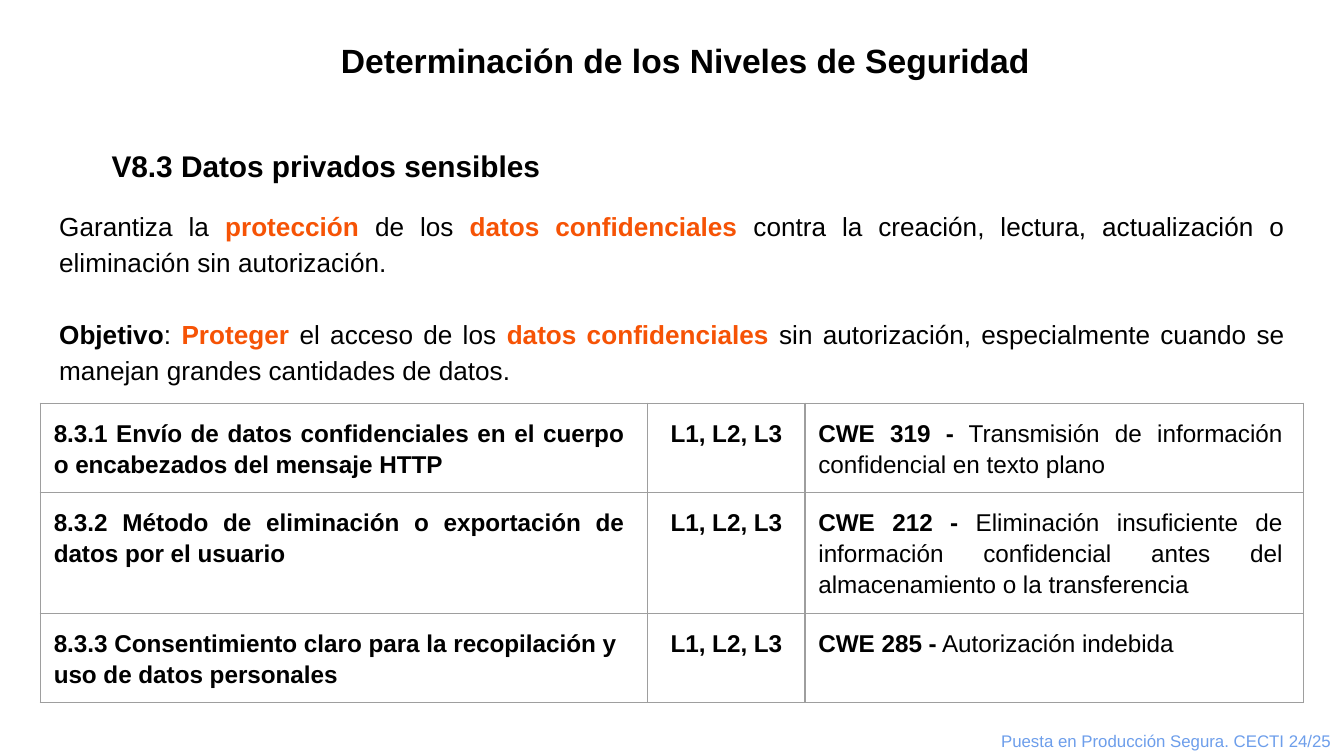
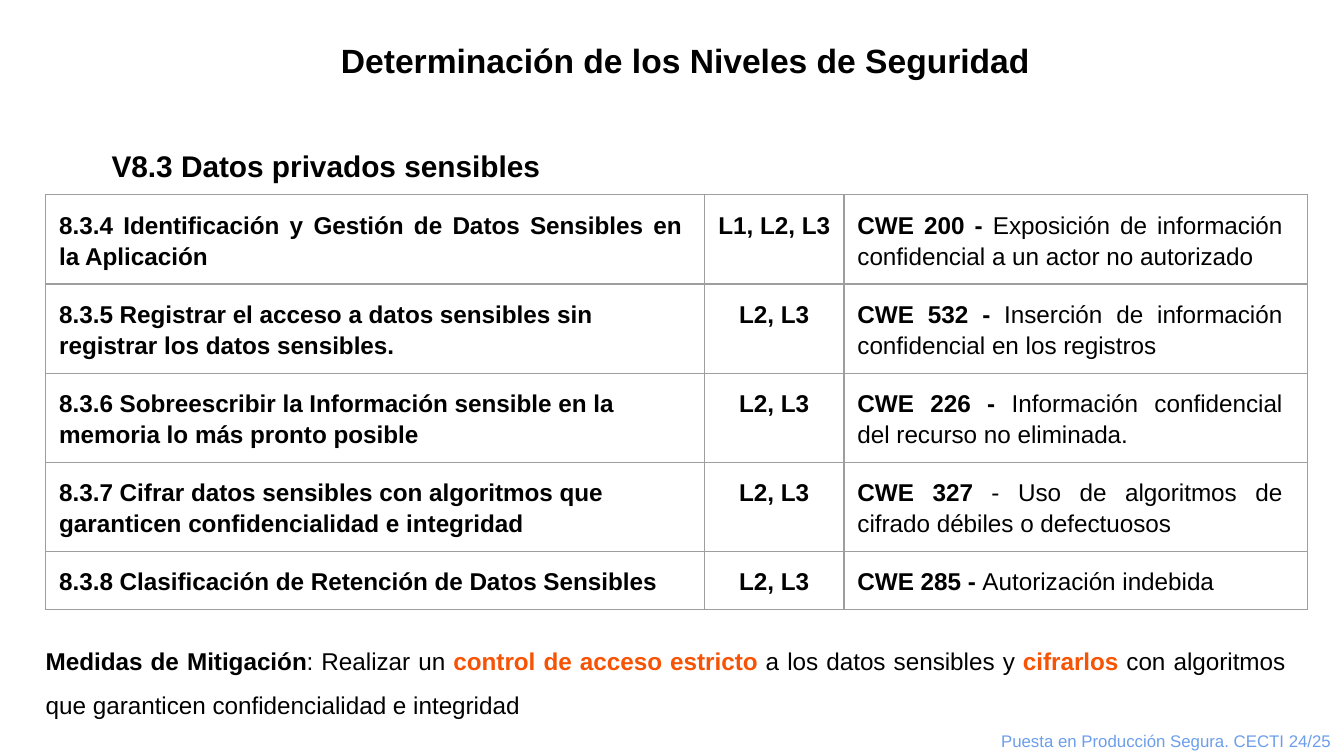
from typing import NamedTuple

from lxml import etree
from pptx import Presentation
from pptx.dml.color import RGBColor
from pptx.enum import text
from pptx.oxml.ns import qn
from pptx.util import Emu, Pt

PX = 9144  # EMU per px, 100 px to the inch
FONT = "Arial"
COLORS = {"ink": "000000", "accent": "F65305", "footer": "6D9EEB",
          "grid": "9E9E9E", "paper": "FFFFFF"}
INSET = 10
FIRST_INDENT = 39
LEFT, CENTER, RIGHT, JUSTIFY = (
    text.PP_ALIGN.LEFT, text.PP_ALIGN.CENTER,
    text.PP_ALIGN.RIGHT, text.PP_ALIGN.JUSTIFY)

TITLE = "Determinación de los Niveles de Seguridad"
SECTION = "V8.3 Datos privados sensibles"
FOOTER = "Puesta en Producción Segura. CECTI 24/25"


class Frame(NamedTuple):
    left: int
    top: int
    width: int
    height: int


class Span(NamedTuple):
    text: str
    bold: bool = False
    color: str = "ink"


class Para(NamedTuple):
    spans: list[Span]
    size: int
    align: text.PP_ALIGN = JUSTIFY
    line: float = 1.15
    before: int = 0
    after: int = 0
    indent: int = 0
    right: int = 0


class Control(NamedTuple):
    """One table row: requirement, levels, and the weakness it answers."""
    requirement: str
    levels: str
    code: str
    weakness: str
    height: int = 66
    align: text.PP_ALIGN = LEFT


class Grid(NamedTuple):
    left: int
    top: int
    widths: tuple[int, int, int]
    requirement_right: int
    weakness_right: int
    controls: list[Control]


def strong(words: str) -> Span:
    return Span(words, bold=True)


def accent(words: str) -> Span:
    return Span(words, bold=True, color="accent")


def px(length: int) -> Emu:
    return Emu(length * PX)


def rgb(name: str) -> RGBColor:
    return RGBColor.from_string(COLORS[name])


def write(text_frame, paras: list[Para]) -> None:
    for index, item in enumerate(paras):
        para = text_frame.add_paragraph() if index else text_frame.paragraphs[0]
        para.alignment = item.align
        para.line_spacing = item.line
        para.space_before = Pt(item.before)
        para.space_after = Pt(item.after)
        properties = para._p.get_or_add_pPr()
        properties.set("marL", "0")
        properties.set("marR", str(px(item.right)))
        properties.set("indent", str(px(item.indent)))
        for piece in item.spans:
            span = para.add_run()
            span.text = piece.text
            span.font.name = FONT
            span.font.size = Pt(item.size)
            span.font.bold = piece.bold
            span.font.color.rgb = rgb(piece.color)


def fill_box(box, frame: Frame, paras: list[Para],
             anchor=text.MSO_ANCHOR.TOP, left_inset: int = INSET) -> None:
    box.left, box.top, box.width, box.height = map(px, frame)
    text_frame = box.text_frame
    text_frame.word_wrap = True
    text_frame.auto_size = text.MSO_AUTO_SIZE.NONE
    text_frame.vertical_anchor = anchor
    text_frame.margin_left = px(left_inset)
    text_frame.margin_top = text_frame.margin_right = px(INSET)
    text_frame.margin_bottom = px(INSET)
    write(text_frame, paras)


def add_box(page, frame: Frame, paras: list[Para], left_inset: int = INSET) -> None:
    box = page.shapes.add_textbox(*map(px, frame))
    fill_box(box, frame, paras, left_inset=left_inset)


def outline_cell(cell) -> None:
    properties = cell._tc.get_or_add_tcPr()
    for side in ("a:lnL", "a:lnR", "a:lnT", "a:lnB"):
        line = etree.SubElement(properties, qn(side), w=str(Pt(0.75)))
        solid = etree.SubElement(line, qn("a:solidFill"))
        etree.SubElement(solid, qn("a:srgbClr"), val=COLORS["grid"])


def add_controls(page, grid: Grid) -> None:
    height = sum(control.height for control in grid.controls)
    frame = Frame(grid.left, grid.top, sum(grid.widths), height)
    table = page.shapes.add_table(
        len(grid.controls), len(grid.widths), *map(px, frame)).table
    table.first_row = table.horz_banding = False
    for column, width in zip(table.columns, grid.widths):
        column.width = px(width)
    for row, control in zip(table.rows, grid.controls):
        row.height = px(control.height)
        paras = [
            Para([strong(control.requirement)], 13, control.align,
                 right=grid.requirement_right),
            Para([strong(control.levels)], 13, CENTER),
            Para([strong(control.code), Span(control.weakness)], 13,
                 right=grid.weakness_right),
        ]
        for cell, para in zip(row.cells, paras):
            cell.margin_left = cell.margin_right = px(INSET)
            cell.margin_top = cell.margin_bottom = px(INSET)
            outline_cell(cell)
            cell.fill.background()
            write(cell.text_frame, [para])


def add_page(deck, body_height: int, body: list[Para], grid: Grid):
    page = deck.slides.add_slide(deck.slide_layouts[0])
    page.background.fill.solid()
    page.background.fill.fore_color.rgb = rgb("paper")
    fill_box(page.shapes.title, Frame(123, 19, 754, 51),
             [Para([strong(TITLE)], 18, CENTER, 1.2, 23, 12, FIRST_INDENT, 19)],
             text.MSO_ANCHOR.BOTTOM)
    section = Para([strong(SECTION)], 16, before=20, indent=FIRST_INDENT)
    fill_box(page.placeholders[1], Frame(34, 96, 932, body_height),
             [section, *body])
    add_controls(page, grid)
    add_box(page, Frame(722, 534, 278, 29),
            [Para([Span(FOOTER, color="footer")], 9, RIGHT, 1.0)])
    return page


PURPOSE = [
    Para([Span("Garantiza la "), accent("protección"), Span(" de los "),
          accent("datos confidenciales"),
          Span(" contra la creación, lectura, actualización o eliminación "
               "sin autorización.")], 14, before=12),
    Para([strong("Objetivo"), Span(": "), accent("Proteger"),
          Span(" el acceso de los "), accent("datos confidenciales"),
          Span(" sin autorización, especialmente cuando se manejan grandes "
               "cantidades de datos.")], 14, before=19),
]
MITIGATION = Para(
    [strong("Medidas de Mitigación"), Span(": Realizar un "),
     accent("control de acceso estricto"), Span(" a los datos sensibles y "),
     accent("cifrarlos"),
     Span(" con algoritmos que garanticen confidencialidad e integridad")],
    13, line=1.5, after=12)

PRIVACY_GRID = Grid(30, 300, (452, 117, 371), 8, 6, [
    Control("8.3.1 Envío de datos confidenciales en el cuerpo o encabezados "
            "del mensaje HTTP", "L1, L2, L3", "CWE 319 -",
            " Transmisión de información confidencial en texto plano",
            align=JUSTIFY),
    Control("8.3.2 Método de eliminación o exportación de datos por el usuario",
            "L1, L2, L3", "CWE 212 -",
            " Eliminación insuficiente de información confidencial antes del "
            "almacenamiento o la transferencia", 90, JUSTIFY),
    Control("8.3.3 Consentimiento claro para la recopilación y uso de datos "
            "personales", "L1, L2, L3", "CWE 285 -", " Autorización indebida"),
])
HANDLING_GRID = Grid(34, 145, (490, 104, 345), 7, 9, [
    Control("8.3.4 Identificación y Gestión de Datos Sensibles en la Aplicación",
            "L1, L2, L3", "CWE 200 -",
            " Exposición de información confidencial a un actor no autorizado",
            align=JUSTIFY),
    Control("8.3.5 Registrar el acceso a datos sensibles sin registrar los "
            "datos sensibles.", "L2, L3", "CWE 532 -",
            " Inserción de información confidencial en los registros"),
    Control("8.3.6 Sobreescribir la Información sensible en la memoria lo más "
            "pronto posible", "L2, L3", "CWE 226 -",
            " Información confidencial del recurso no eliminada."),
    Control("8.3.7 Cifrar datos sensibles con algoritmos que garanticen "
            "confidencialidad e integridad", "L2, L3", "CWE 327",
            " - Uso de algoritmos de cifrado débiles o defectuosos"),
    Control("8.3.8 Clasificación de Retención de Datos Sensibles", "L2, L3",
            "CWE 285 - ", "Autorización indebida", 43),
])


def main() -> None:
    deck = Presentation()
    deck.slide_width = px(1000)
    deck.slide_height = Emu(deck.slide_width * 9 // 16)
    add_page(deck, 196, PURPOSE, PRIVACY_GRID)
    handling = add_page(deck, 178, [], HANDLING_GRID)
    add_box(handling, Frame(34, 460, 932, 82), [MITIGATION], left_inset=0)
    deck.save("out.pptx")


if __name__ == "__main__":
    main()
